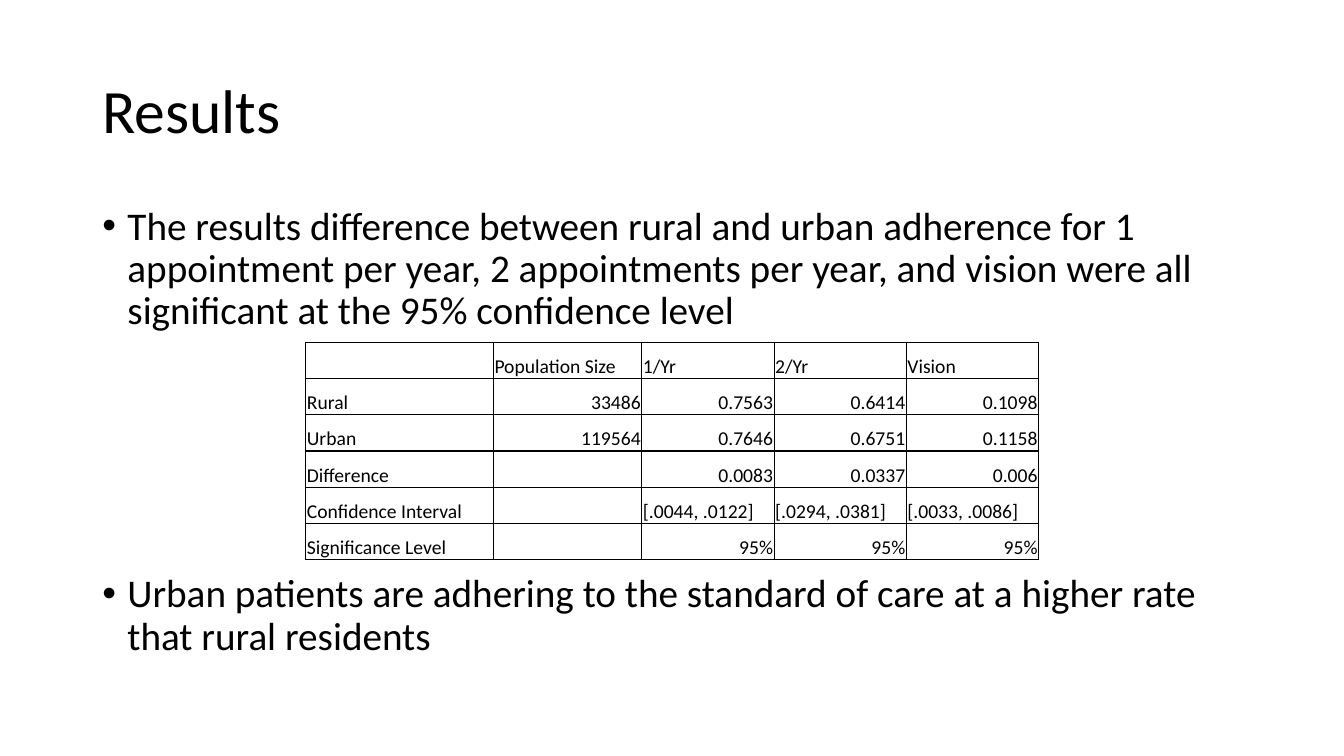
import dataclasses

import pptx
import pptx.dml.color
import pptx.enum.text
import pptx.oxml
import pptx.oxml.ns
import pptx.util

Pt = pptx.util.Pt
ANCHOR = pptx.enum.text.MSO_ANCHOR
ALIGN = pptx.enum.text.PP_ALIGN


@dataclasses.dataclass(frozen=True)
class Theme:
    font: str = "Calibri"
    ink: str = "000000"
    title_size: int = 44
    body_size: int = 28
    table_size: int = 14
    line_spacing: float = 0.9
    border_width: int = 1


THEME = Theme()

FINDINGS = (
    ("The results difference between rural and urban adherence for 1 appointment per year, "
     "2 appointments per year, and vision were all significant at the 95% confidence level", 10),
    ("Urban patients are adhering to the standard of care at a higher rate "
     "that rural residents", 172),
)

ADHERENCE = (
    ("", "Population Size", "1/Yr", "2/Yr", "Vision"),
    ("Rural", "33486", "0.7563", "0.6414", "0.1098"),
    ("Urban", "119564", "0.7646", "0.6751", "0.1158"),
    ("Difference", "", "0.0083", "0.0337", "0.006"),
    ("Confidence Interval", "", "[.0044, .0122]", "[.0294, .0381]", "[.0033, .0086]"),
    ("Significance Level", "", "95%", "95%", "95%"),
)
COLUMN_WIDTHS = (134, 106, 94.5, 94.5, 94.5)
ROW_HEIGHT = 25.92


def style_runs(paragraph, size):
    for run in paragraph.runs:
        run.font.name = THEME.font
        run.font.size = Pt(size)
        run.font.color.rgb = pptx.dml.color.RGBColor.from_string(THEME.ink)


def add_text_frame(slide, left, top, width, height, anchor):
    frame = slide.shapes.add_textbox(Pt(left), Pt(top), Pt(width), Pt(height)).text_frame
    frame.word_wrap = True
    frame.vertical_anchor = anchor
    return frame


def add_title(slide, title):
    frame = add_text_frame(slide, 66, 28.8, 828, 104.4, ANCHOR.MIDDLE)
    frame.text = title
    heading = frame.paragraphs[0]
    heading.line_spacing = THEME.line_spacing
    style_runs(heading, THEME.title_size)


def set_bullet(paragraph, indent):
    properties = paragraph._p.get_or_add_pPr()
    properties.set("marL", str(Pt(indent)))
    properties.set("indent", str(-Pt(indent)))
    namespace = pptx.oxml.ns.nsdecls("a")
    for markup in (f'<a:buFont {namespace} typeface="Arial"/>', f'<a:buChar {namespace} char="•"/>'):
        properties.append(pptx.oxml.parse_xml(markup))


def add_findings(slide, findings):
    frame = add_text_frame(slide, 66, 143.75, 828, 342.6, ANCHOR.TOP)
    frame.text = "\n".join(finding for finding, _ in findings)
    for paragraph, (_, space_before) in zip(frame.paragraphs, findings):
        paragraph.line_spacing = THEME.line_spacing
        paragraph.space_before = Pt(space_before)
        set_bullet(paragraph, 18)
        style_runs(paragraph, THEME.body_size)


def set_borders(cell):
    properties = cell._tc.get_or_add_tcPr()
    for side in ("lnL", "lnR", "lnT", "lnB"):
        properties.append(pptx.oxml.parse_xml(
            f'<a:{side} {pptx.oxml.ns.nsdecls("a")} w="{Pt(THEME.border_width)}">'
            f'<a:solidFill><a:srgbClr val="{THEME.ink}"/></a:solidFill></a:{side}>'))


def fill_cell(cell, value, align):
    set_borders(cell)
    cell.fill.background()
    cell.margin_left = cell.margin_right = cell.margin_top = Pt(0.75)
    cell.margin_bottom = Pt(0)
    cell.vertical_anchor = ANCHOR.BOTTOM
    cell.text_frame.text = value
    entry = cell.text_frame.paragraphs[0]
    entry.alignment = align
    style_runs(entry, THEME.table_size)


def add_adherence_table(slide, rows):
    table = slide.shapes.add_table(
        len(rows), len(COLUMN_WIDTHS), Pt(218.5), Pt(244.4),
        Pt(sum(COLUMN_WIDTHS)), Pt(ROW_HEIGHT * len(rows))).table
    table.first_row = False
    table.horz_banding = False
    for column, width in zip(table.columns, COLUMN_WIDTHS):
        column.width = Pt(width)
    for row_index, values in enumerate(rows):
        table.rows[row_index].height = Pt(ROW_HEIGHT)
        for column_index, value in enumerate(values):
            is_number = value.endswith("%") or value.replace(".", "").isdigit()
            align = ALIGN.RIGHT if is_number else ALIGN.LEFT
            fill_cell(table.cell(row_index, column_index), value, align)


def main():
    deck = pptx.Presentation()
    deck.slide_width = Pt(960)
    deck.slide_height = Pt(540)
    slide = deck.slides.add_slide(deck.slide_layouts[6])
    add_title(slide, "Results")
    add_findings(slide, FINDINGS)
    add_adherence_table(slide, ADHERENCE)
    deck.save("out.pptx")


if __name__ == "__main__":
    main()
